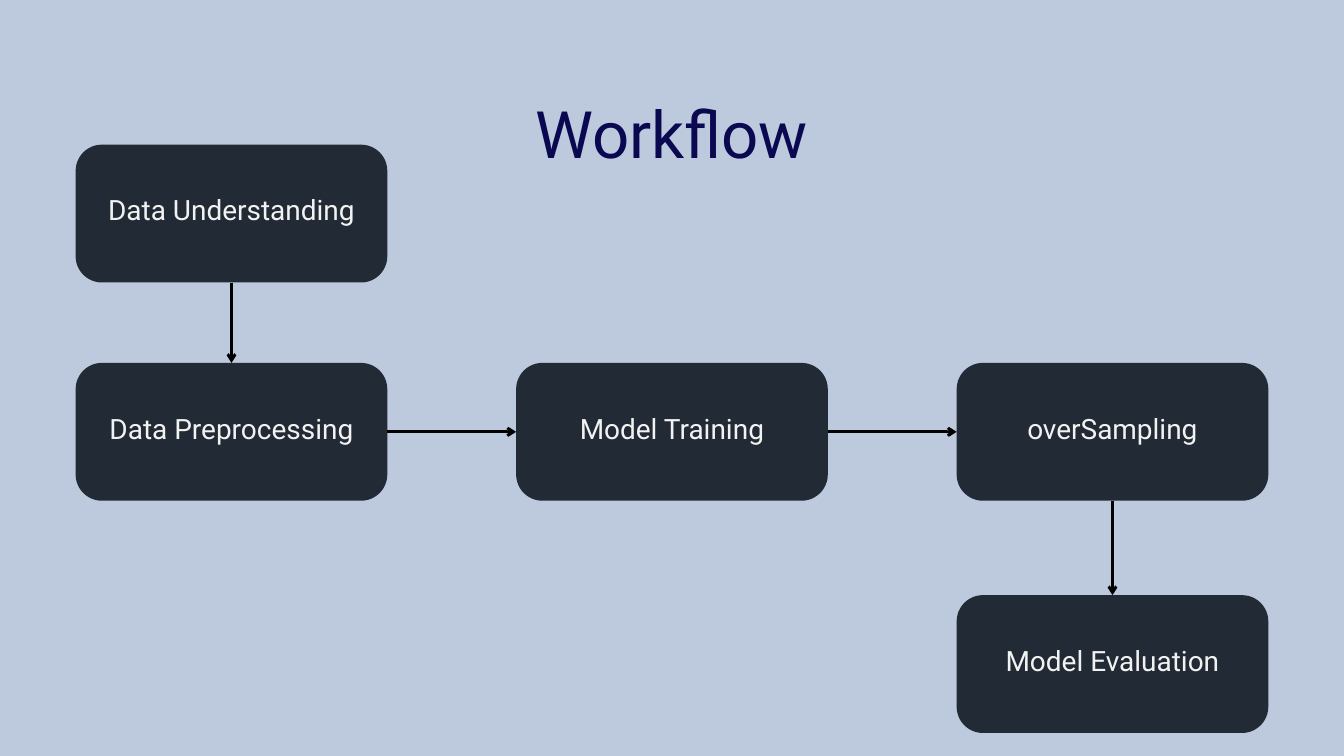
from lxml import etree
from pptx import Presentation
from pptx.dml.color import RGBColor
from pptx.enum.shapes import MSO_CONNECTOR, MSO_SHAPE
from pptx.enum.text import MSO_ANCHOR, MSO_AUTO_SIZE, PP_ALIGN
from pptx.oxml.ns import qn
from pptx.util import Cm, Pt

STRAIGHT = MSO_CONNECTOR.STRAIGHT
ROUNDED = MSO_SHAPE.ROUNDED_RECTANGLE
MIDDLE = MSO_ANCHOR.MIDDLE
NO_AUTOFIT = MSO_AUTO_SIZE.NONE
CENTER = PP_ALIGN.CENTER

BACKGROUND = RGBColor(0xBD, 0xC9, 0xDD)
NAVY = RGBColor(0x0A, 0x08, 0x51)
CHARCOAL = RGBColor(0x22, 0x2A, 0x35)
OFF_WHITE = RGBColor(0xF2, 0xF2, 0xF2)
BLACK = RGBColor(0, 0, 0)

TOP, LEFT, BOTTOM, RIGHT = range(4)
FIRST_COLUMN, COLUMN_STEP = 2.86, 16.65
ROW_TOPS = (5.47, 13.72, 22.5)
BOX_WIDTH, BOX_HEIGHT = 11.78, 5.21

STEPS = (
    ("Data Understanding", 0, 0),
    ("Data Preprocessing", 0, 1),
    ("Model Training", 1, 1),
    ("overSampling", 2, 1),
    ("Model Evaluation", 2, 2),
)
ARROWS = ((BOTTOM, TOP), (RIGHT, LEFT), (RIGHT, LEFT), (BOTTOM, TOP))


class WorkflowSlide:
    font_name = "Roboto"
    inset = 0.15
    text_lift = 0.51

    def __init__(self, presentation):
        self.slide = presentation.slides.add_slide(presentation.slide_layouts[5])
        fill = self.slide.background.fill
        fill.solid()
        fill.fore_color.rgb = BACKGROUND

    def label(self, shape, text, size, color, lift=0):
        frame = shape.text_frame
        frame.text = text
        frame.word_wrap = True
        frame.auto_size = NO_AUTOFIT
        frame.vertical_anchor = MIDDLE
        frame.margin_left = frame.margin_right = frame.margin_top = Cm(self.inset)
        frame.margin_bottom = Cm(self.inset + lift)
        paragraph = frame.paragraphs[0]
        paragraph.alignment = CENTER
        paragraph.line_spacing = Pt(size * 1.4)
        font = paragraph.runs[0].font
        font.name = self.font_name
        font.size = Pt(size)
        font.color.rgb = color

    def title(self, text):
        shape = self.slide.shapes.title
        shape.left, shape.top = Cm(15.67), Cm(1.45)
        shape.width, shape.height = Cm(19.43), Cm(6.63)
        self.label(shape, text, 70, NAVY)

    def step(self, text, column, row):
        shape = self.slide.shapes.add_shape(
            ROUNDED,
            Cm(FIRST_COLUMN + column * COLUMN_STEP),
            Cm(ROW_TOPS[row]),
            Cm(BOX_WIDTH),
            Cm(BOX_HEIGHT),
        )
        shape.adjustments[0] = 0.19
        shape.shadow.inherit = False
        shape.fill.solid()
        shape.fill.fore_color.rgb = CHARCOAL
        shape.line.fill.background()
        self.label(shape, text, 30, OFF_WHITE, self.text_lift)
        return shape

    def arrow(self, start, start_side, end, end_side):
        connector = self.slide.shapes.add_connector(STRAIGHT, 0, 0, 0, 0)
        connector.begin_connect(start, start_side)
        connector.end_connect(end, end_side)
        connector.line.color.rgb = BLACK
        connector.line.width = Pt(3)
        properties = connector.element.spPr
        etree.SubElement(properties.find(qn("a:ln")), qn("a:tailEnd"), type="arrow")
        etree.SubElement(properties, qn("a:effectLst"))


def main():
    presentation = Presentation()
    presentation.slide_width = Cm(50.8)
    presentation.slide_height = Cm(28.58)
    workflow = WorkflowSlide(presentation)
    workflow.title("Workflow")
    boxes = [workflow.step(*step) for step in STEPS]
    for start, end, (start_side, end_side) in zip(boxes, boxes[1:], ARROWS):
        workflow.arrow(start, start_side, end, end_side)
    presentation.save("out.pptx")


if __name__ == "__main__":
    main()
